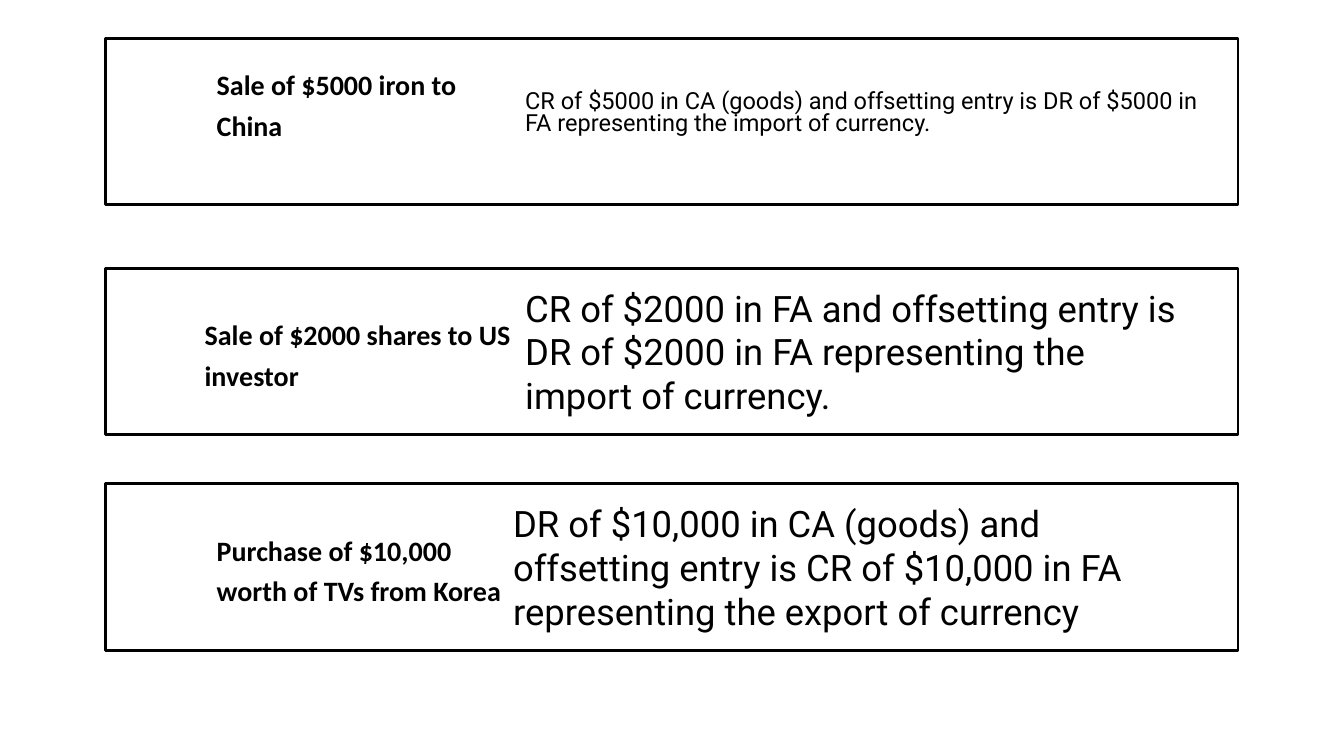
import pptx
import pptx.util
import pptx.dml.color
import pptx.enum.shapes
import pptx.enum.text
from pptx.util import Inches, Pt

BLACK = pptx.dml.color.RGBColor(0x00, 0x00, 0x00)
WHITE = pptx.dml.color.RGBColor(0xFF, 0xFF, 0xFF)
INDENT = 0.12
ROW_HEIGHT = 1.65

TRANSACTIONS = [
    dict(top=0.38, label="Sale of $5000 iron to China", label_indent=INDENT, label_bottom=0.45,
         entry="CR of $5000 in CA (goods) and offsetting entry is DR of $5000 in FA "
               "representing the import of currency.",
         entry_top=1.05, entry_height=0.6, entry_bottom=0.49,
         entry_indent=INDENT, entry_size=16.8, entry_spacing=0.8),
    dict(top=2.66, label="Sale of $2000 shares to US investor", label_indent=0, label_bottom=0.05,
         entry="CR of $2000 in FA and offsetting entry is DR of $2000 in FA "
               "representing the import of currency.",
         entry_top=2.76, entry_height=1.45, entry_bottom=0.05,
         entry_indent=INDENT, entry_size=26, entry_spacing=1),
    dict(top=4.8, label="Purchase of $10,000 worth of TVs from Korea",
         label_indent=INDENT, label_bottom=0.05,
         entry="DR of $10,000 in CA (goods) and offsetting entry is CR of $10,000 in FA "
               "representing the export of currency",
         entry_top=4.9, entry_height=1.45, entry_bottom=0.05,
         entry_indent=0, entry_size=26, entry_spacing=1),
]


def write_text(holder, text, font, size, indent, spacing, insets, bold=False):
    frame = holder.text_frame
    frame.word_wrap = True
    frame.auto_size = pptx.enum.text.MSO_AUTO_SIZE.NONE
    frame.vertical_anchor = pptx.enum.text.MSO_ANCHOR.MIDDLE
    (frame.margin_left, frame.margin_top,
     frame.margin_right, frame.margin_bottom) = map(Inches, insets)
    frame.text = text
    paragraph = frame.paragraphs[0]
    paragraph.alignment = pptx.enum.text.PP_ALIGN.LEFT
    paragraph.line_spacing = spacing
    properties = paragraph._p.get_or_add_pPr()
    properties.set("marL", str(Inches(indent)))
    properties.set("indent", "0")
    run_font = paragraph.runs[0].font
    run_font.name = font
    run_font.size = Pt(size)
    run_font.bold = bold
    run_font.color.rgb = BLACK


def add_transaction_box(slide, transaction):
    box = slide.shapes.add_shape(
        pptx.enum.shapes.MSO_SHAPE.RECTANGLE,
        Inches(1.05), Inches(transaction["top"]), Inches(11.23), Inches(ROW_HEIGHT))
    box.shadow.inherit = False
    box.fill.solid()
    box.fill.fore_color.rgb = WHITE
    box.line.color.rgb = BLACK
    box.line.width = Pt(2)
    write_text(box, transaction["label"], "Calibri", 20, transaction["label_indent"], 1.2,
               (0.98, 0.05, 7.1, transaction["label_bottom"]), bold=True)


def add_accounting_entry(slide, transaction):
    entry = slide.shapes.add_textbox(
        Inches(4.99), Inches(transaction["entry_top"]),
        Inches(7.01), Inches(transaction["entry_height"]))
    write_text(entry, transaction["entry"], "Roboto", transaction["entry_size"],
               transaction["entry_indent"], transaction["entry_spacing"],
               (0.1, 0.05, 0.1, transaction["entry_bottom"]))


def main():
    deck = pptx.Presentation()
    deck.slide_width = Inches(13.33)
    deck.slide_height = Inches(7.5)
    slide = deck.slides.add_slide(deck.slide_layouts[6])
    for transaction in TRANSACTIONS:
        add_transaction_box(slide, transaction)
        add_accounting_entry(slide, transaction)
    deck.save("out.pptx")


if __name__ == "__main__":
    main()
